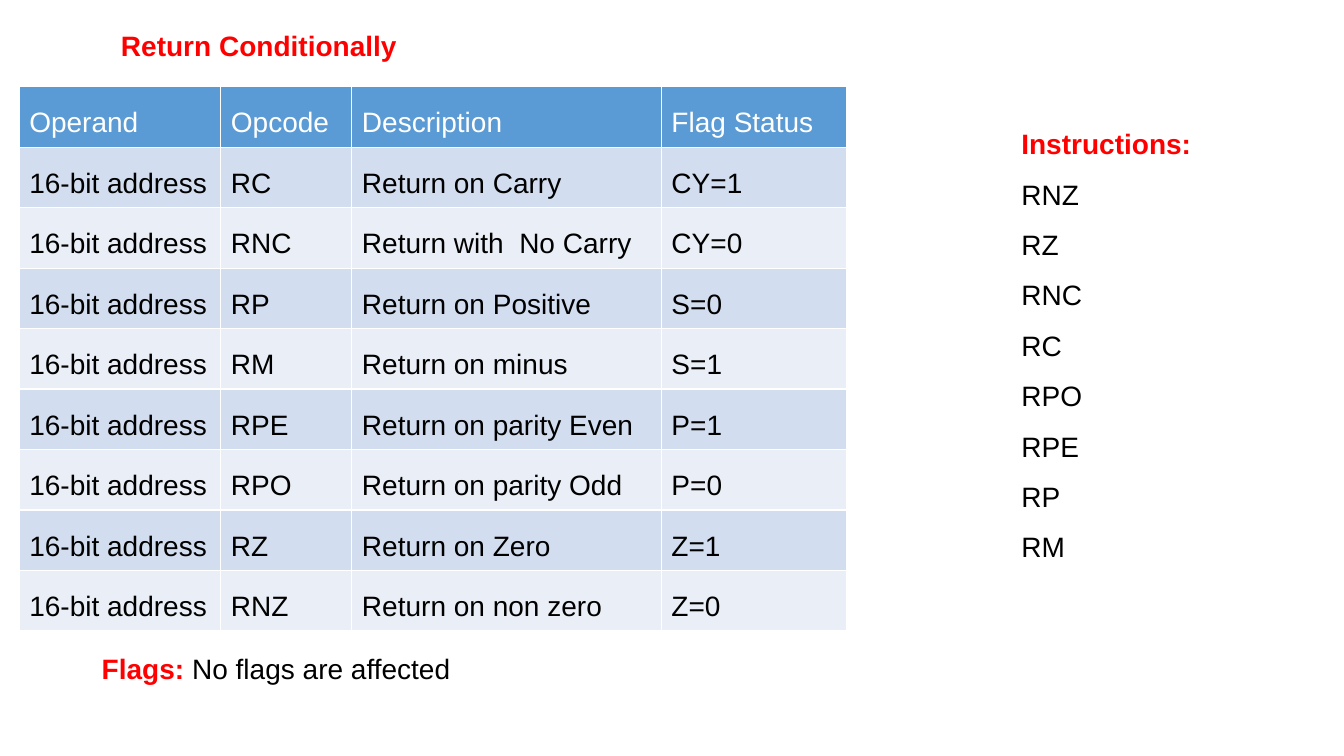
from lxml.etree import SubElement
from pptx import Presentation
from pptx.dml.color import RGBColor
from pptx.enum.text import MSO_ANCHOR, MSO_AUTO_SIZE, PP_ALIGN
from pptx.oxml.ns import qn
from pptx.util import Inches, Pt

RED, BLACK, WHITE = "FF0000", "000000", "FFFFFF"
HEADER_FILL = "5B9BD5"
BAND_FILLS = ["D2DEEF", "EAEFF7"]

HEADERS = ["Operand", "Opcode", "Description", "Flag Status"]
OPERAND = "16-bit address"
RETURNS = [
    ("RC", "Return on Carry", "CY=1"),
    ("RNC", "Return with  No Carry", "CY=0"),
    ("RP", "Return on Positive", "S=0"),
    ("RM", "Return on minus", "S=1"),
    ("RPE", "Return on parity Even", "P=1"),
    ("RPO", "Return on parity Odd", "P=0"),
    ("RZ", "Return on Zero", "Z=1"),
    ("RNZ", "Return on non zero", "Z=0"),
]
COLUMN_WIDTHS = [2, 1.3, 3.07, 1.84]
INSTRUCTIONS = ["RNZ", "RZ", "RNC", "RC", "RPO", "RPE", "RP", "RM"]


def color(hex_string):
    """Turn a hex string into a colour."""
    return RGBColor.from_string(hex_string)


def format_run(run, hex_string, bold=False):
    """Give a run the slide's font in one colour."""
    run.font.name = "Arial"
    run.font.size = Pt(20)
    run.font.bold = bold
    run.font.color.rgb = color(hex_string)


def place(shape, box):
    """Move a shape to a box of left, top, width and height in inches."""
    shape.left, shape.top, shape.width, shape.height = map(Inches, box)


def prepare_frame(text_frame, wrap):
    """Anchor text at the top without shrinking it."""
    text_frame.auto_size = MSO_AUTO_SIZE.NONE
    text_frame.vertical_anchor = MSO_ANCHOR.TOP
    text_frame.word_wrap = wrap


def add_title(slide, box):
    """Fill the title placeholder."""
    title = slide.shapes.title
    place(title, box)
    title.text_frame.text = "Return Conditionally"
    prepare_frame(title.text_frame, True)
    paragraph = title.text_frame.paragraphs[0]
    paragraph.alignment = PP_ALIGN.LEFT
    format_run(paragraph.runs[0], RED, bold=True)


def add_instructions(slide, box):
    """List the instructions, without bullets, in the body placeholder."""
    body = slide.placeholders[1]
    place(body, box)
    body.text_frame.text = "\n".join(["Instructions:"] + INSTRUCTIONS)
    prepare_frame(body.text_frame, False)
    for index, paragraph in enumerate(body.text_frame.paragraphs):
        paragraph.line_spacing = 1.5
        paragraph.space_before = Pt(0)
        properties = paragraph._p.get_or_add_pPr()
        properties.set("marL", "0")
        properties.set("indent", "0")
        SubElement(properties, qn("a:buNone"))
        heading = index == 0
        format_run(paragraph.runs[0], RED if heading else BLACK, bold=heading)


def add_return_table(slide, box):
    """Add the banded table of conditional returns."""
    rows = [HEADERS] + [(OPERAND, *values) for values in RETURNS]
    frame = slide.shapes.add_table(len(rows), len(HEADERS), *map(Inches, box))
    table = frame.table
    for column, width in zip(table.columns, COLUMN_WIDTHS):
        column.width = Inches(width)
    for row_index, values in enumerate(rows):
        header = row_index == 0
        fill = HEADER_FILL if header else BAND_FILLS[(row_index - 1) % 2]
        for column_index, value in enumerate(values):
            cell = table.cell(row_index, column_index)
            cell.fill.solid()
            cell.fill.fore_color.rgb = color(fill)
            cell.text_frame.text = value
            paragraph = cell.text_frame.paragraphs[0]
            paragraph.line_spacing = 1.5
            format_run(paragraph.runs[0], WHITE if header else BLACK)


def add_flags_note(slide, box):
    """Add the note on flags under the table."""
    text_box = slide.shapes.add_textbox(*map(Inches, box))
    prepare_frame(text_box.text_frame, False)
    paragraph = text_box.text_frame.paragraphs[0]
    for text, hex_string, bold in [("Flags: ", RED, True),
                                   ("No flags are affected", BLACK, False)]:
        run = paragraph.add_run()
        run.text = text
        format_run(run, hex_string, bold)


def build_slide(presentation):
    """Build the slide on conditional returns."""
    slide = presentation.slides.add_slide(presentation.slide_layouts[1])
    add_instructions(slide, (10.03, 1.04, 1.9, 4.64))
    add_flags_note(slide, (0.91, 6.41, 3.68, 0.44))
    add_title(slide, (1.1, 0.23, 8.72, 0.44))
    add_return_table(slide, (0.19, 0.86, sum(COLUMN_WIDTHS), 5.4))


presentation = Presentation()
presentation.slide_width = Inches(13.33)
presentation.slide_height = Inches(7.5)
build_slide(presentation)
presentation.save("out.pptx")
